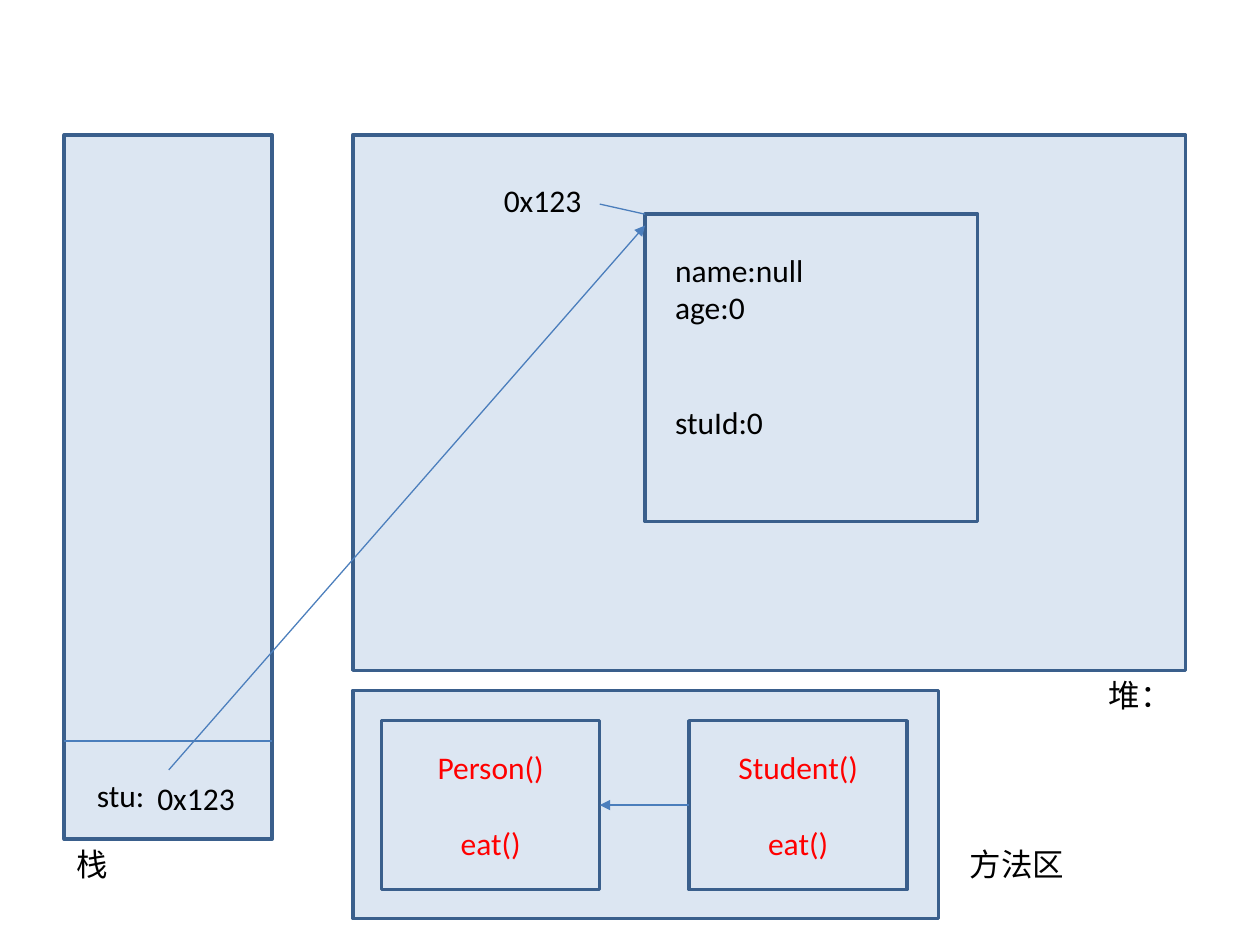
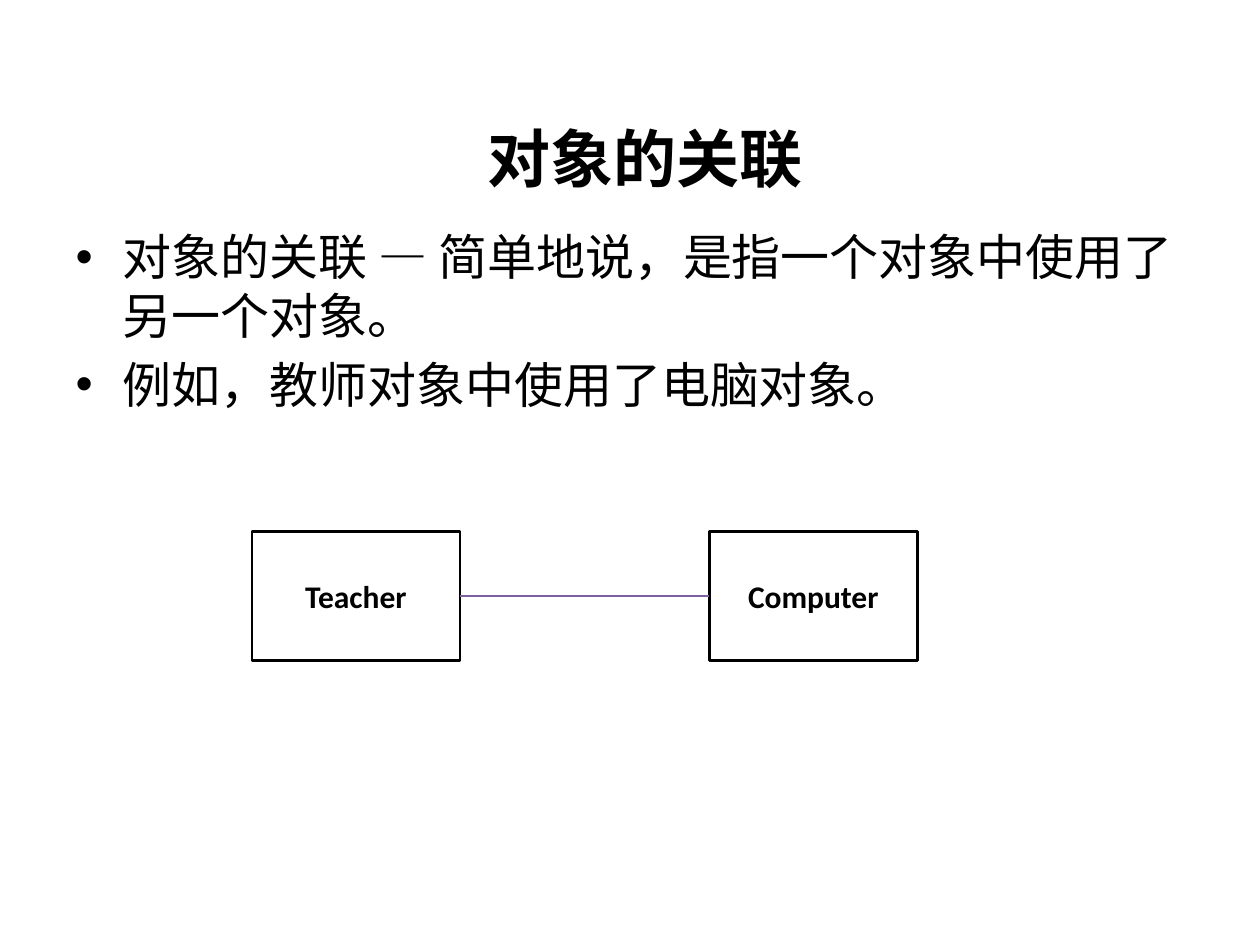
from dataclasses import dataclass

import pptx
import pptx.dml.color
import pptx.enum.shapes
import pptx.enum.text
import pptx.oxml
import pptx.oxml.ns
import pptx.util

ALIGN = pptx.enum.text.PP_ALIGN
MIDDLE = pptx.enum.text.MSO_ANCHOR.MIDDLE
COLUMNS, ROWS = 100, 75
WIDTH, HEIGHT = pptx.util.Inches(10), pptx.util.Inches(7.5)


@dataclass(frozen=True)
class Theme:
    latin: str = "Calibri"
    cjk: str = "Noto Sans CJK SC"
    ink: str = "000000"
    method: str = "FF0000"
    region: str = "DCE6F2"
    border: str = "3A5F8C"
    pointer: str = "4B7EBC"
    association: str = "7D60A0"
    title_size: float = 36
    body_size: float = 28
    label_size: float = 18
    blank_line: float = 22
    border_width: float = 2
    class_width: float = 1.5
    pointer_width: float = 0.75


THEME = Theme()


def rgb(value):
    return pptx.dml.color.RGBColor.from_string(value)


def col(count):
    return round(WIDTH * count / COLUMNS)


def row(count):
    return round(HEIGHT * count / ROWS)


def cells(left, top, width, height):
    return col(left), row(top), col(width), row(height)


def add_drawing_child(parent, tag, **attributes):
    child = pptx.oxml.parse_xml(f"<a:{tag} {pptx.oxml.ns.nsdecls('a')}/>")
    for key, value in attributes.items():
        child.set(key, value)
    parent.append(child)


def write(frame, lines, size=THEME.label_size, color=THEME.ink, bold=False,
          align=None, font=THEME.latin, gaps=None):
    """Write one paragraph per line; gaps maps a line index to its space before."""
    frame.word_wrap = True
    for index, line in enumerate(lines):
        paragraph = frame.paragraphs[0] if index == 0 else frame.add_paragraph()
        if align is not None:
            paragraph.alignment = align
        if index == 0:
            paragraph.space_before = pptx.util.Pt(0)
        elif gaps and index in gaps:
            paragraph.space_before = pptx.util.Pt(gaps[index])
        run = paragraph.add_run()
        run.text = line
        run.font.size = pptx.util.Pt(size)
        run.font.bold = bold
        run.font.color.rgb = rgb(color)
        run.font.name = font
        add_drawing_child(run.font._element, "ea", typeface=THEME.cjk)


def label(slide, area, *lines, **style):
    write(slide.shapes.add_textbox(*cells(*area)).text_frame, lines, **style)


def rectangle(slide, area, fill=THEME.region, line=THEME.border,
              width=THEME.border_width):
    box = slide.shapes.add_shape(
        pptx.enum.shapes.MSO_SHAPE.RECTANGLE, *cells(*area))
    box.shadow.inherit = False
    if fill:
        box.fill.solid()
        box.fill.fore_color.rgb = rgb(fill)
    else:
        box.fill.background()
    box.line.color.rgb = rgb(line)
    box.line.width = pptx.util.Pt(width)
    box.text_frame.vertical_anchor = MIDDLE
    return box


def method_box(slide, area, *methods):
    box = rectangle(slide, area)
    write(box.text_frame, methods, color=THEME.method, align=ALIGN.CENTER,
          gaps={1: THEME.blank_line})
    return box


def class_box(slide, area, class_name):
    box = rectangle(slide, area, None, THEME.ink, THEME.class_width)
    write(box.text_frame, [class_name], bold=True, align=ALIGN.CENTER)
    return box


def line(slide, start=(0, 0), end=(0, 0), color=THEME.pointer,
         width=THEME.pointer_width, arrow=False):
    link = slide.shapes.add_connector(
        pptx.enum.shapes.MSO_CONNECTOR.STRAIGHT,
        col(start[0]), row(start[1]), col(end[0]), row(end[1]))
    link.line.color.rgb = rgb(color)
    link.line.width = pptx.util.Pt(width)
    if arrow:
        add_drawing_child(link.line._get_or_add_ln(), "tailEnd", type="triangle")
    add_drawing_child(link._element.spPr, "effectLst")
    return link


def join(slide, source, source_side, target, target_side, **style):
    link = line(slide, **style)
    link.begin_connect(source, source_side)
    link.end_connect(target, target_side)


def fill_placeholder(placeholder, area, lines, **style):
    placeholder.left, placeholder.top, placeholder.width, placeholder.height = cells(*area)
    write(placeholder.text_frame, lines, **style)


def build_memory_slide(deck):
    slide = deck.slides.add_slide(deck.slide_layouts[6])
    top, heap_left, label_height = 10.7, 28, 4
    stack_left, stack_width, stack_height = 5.1, 16.5, 55.9
    stack_bottom = top + stack_height
    heap_height = 42.5
    rectangle(slide, (stack_left, top, stack_width, stack_height))
    rectangle(slide, (heap_left, top, 66.1, heap_height))
    rectangle(slide, (heap_left, 54.8, 46.5, 18.1))
    label(slide, (stack_left, stack_bottom, 14.2, label_height), "栈")
    label(slide, (87, top + heap_height, 11, label_height), "堆：")
    label(slide, (76, stack_bottom, 19.7, label_height), "方法区")

    person, student = (
        method_box(slide, (left, 57.2, 17.3, 13.4), constructor, "eat()")
        for left, constructor in ((30.3, "Person()"), (54.7, "Student()")))
    join(slide, student, 1, person, 3, arrow=True)

    line(slide, (stack_left, 58.8), (stack_left + stack_width, 58.8))
    label(slide, (6.7, 61.1, 21.3, label_height), "stu:")

    object_left, object_top = 51.2, 17
    rectangle(slide, (object_left, object_top, 26.4, 24.4))
    line(slide, (object_left, object_top), (47.6, 16.2))
    label(slide, (object_left + 1.4, object_top + 2.4, 23.4, 16.2),
          "name:null", "age:0", "stuId:0", gaps={2: 2 * THEME.blank_line})
    for left, address_top in ((39, 13.9), (11.5, 61.3)):
        label(slide, (left, address_top, 10.2, label_height), "0x123")
    line(slide, (13.4, 61.1), (object_left, object_top + 0.9), arrow=True)


def build_association_slide(deck):
    slide = deck.slides.add_slide(deck.slide_layouts[1])
    title, body = slide.placeholders
    fill_placeholder(title, (6.2, 7.8, 90, 9.4), ["对象的关联"],
                     size=THEME.title_size, bold=True, align=ALIGN.CENTER,
                     font=THEME.cjk)
    title.text_frame.vertical_anchor = MIDDLE
    fill_placeholder(body, (5, 17.5, 90, 49.5),
                     ["对象的关联 — 简单地说，是指一个对象中使用了另一个对象。",
                      "例如，教师对象中使用了电脑对象。"],
                     size=THEME.body_size)
    teacher, computer = (
        class_box(slide, (left, 42.2, 16.5, 10.2), class_name)
        for left, class_name in ((20, "Teacher"), (56.3, "Computer")))
    join(slide, teacher, 3, computer, 1,
         color=THEME.association, width=THEME.class_width)


def main():
    deck = pptx.Presentation()
    deck.slide_width, deck.slide_height = WIDTH, HEIGHT
    build_memory_slide(deck)
    build_association_slide(deck)
    deck.save("out.pptx")


if __name__ == "__main__":
    main()
